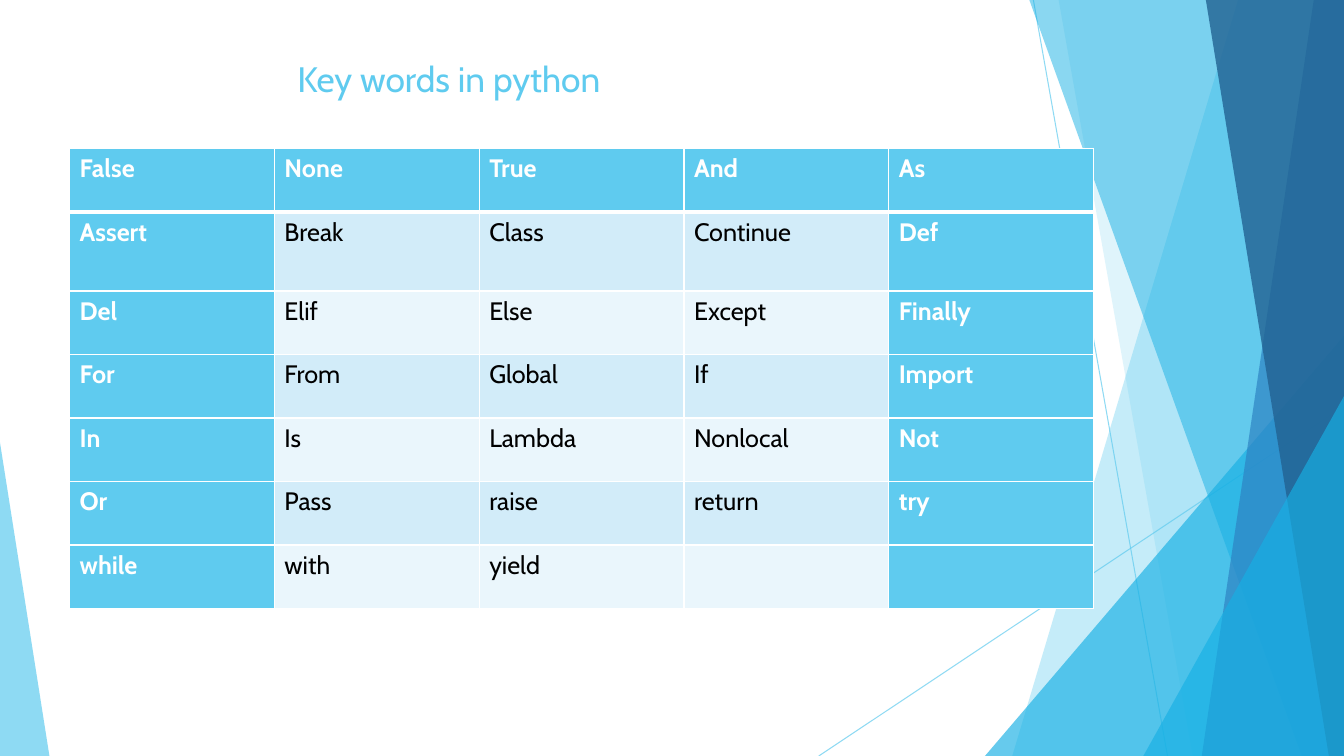
from lxml.etree import SubElement
from pptx import Presentation
from pptx.dml.color import RGBColor
from pptx.enum.shapes import MSO_CONNECTOR as Connector, MSO_SHAPE as Shape
from pptx.oxml import parse_xml
from pptx.oxml.ns import nsdecls, qn
from pptx.util import Inches, Pt

COLORS = {
    "sky": "5FCBEF", "cyan": "17B0E4", "blue": "2E83C3", "navy": "226292",
    "band": "D2ECF9", "pale": "EAF6FC", "white": "FFFFFF", "black": "000000",
}
FONT = "Cabin"
WIDTH, HEIGHT = Inches(13.33), Inches(7.5)

# Decoration, in percent of the slide's width and height
LINES = [((76.89, 0), (86.87, 100)), ((100, 53.73), (60.92, 100))]
# Facets reach the right edge: top x, bottom x, color, opacity
# Triangles: left, top, width, height, apex position, color, opacity
RIGHT_DECORATION = [
    ("facet", (92.12, 75.32), "sky", 36),
    ("facet", (78.77, 88.75), "sky", 20),
    ("triangle", (73.29, 44.4, 26.71, 55.6, 1), "cyan", 66),
    ("facet", (76.59, 96.85), "cyan", 50),
    ("facet", (97.75, 89.42), "blue", 70),
    ("facet", (89.72, 98.87), "navy", 80),
    ("triangle", (85.07, 52.4, 14.93, 47.6, 1), "cyan", 66),
]
LEFT_DECORATION = [("triangle", (0, 58.53, 3.68, 41.47, 0), "sky", 70)]

KEYWORDS = [
    ["False", "None", "True", "And", "As"],
    ["Assert", "Break", "Class", "Continue", "Def"],
    ["Del", "Elif", "Else", "Except", "Finally"],
    ["For", "From", "Global", "If", "Import"],
    ["In", "Is", "Lambda", "Nonlocal", "Not"],
    ["Or", "Pass", "raise", "return", "try"],
    ["while", "with", "yield", "", ""],
]
ROW_SHARES = [1, 1.25, 1, 1, 1, 1, 1]


def color(name):
    return RGBColor.from_string(COLORS[name])


def place(box, x, y):
    """Turn percentages of a box into a point."""
    left, top, width, height = box
    return round(left + width * x / 100), round(top + height * y / 100)


def part(box, x, y, width, height):
    """Cut a smaller box out of a box, by percentages."""
    return (*place(box, x, y), *place((0, 0, *box[2:]), width, height))


def set_opacity(shape, percent):
    for element in shape._element.spPr.iter(qn("a:srgbClr")):
        SubElement(element, qn("a:alpha")).set("val", str(percent * 1000))


def add_lines(slide, box):
    for start, end in LINES:
        line = slide.shapes.add_connector(
            Connector.STRAIGHT, *place(box, *start), *place(box, *end))
        line.line.color.rgb = color("sky")
        line.line.width = Pt(0.75)
        set_opacity(line, 70)
        SubElement(line._element.spPr, qn("a:effectLst"))


def add_facet(slide, box, top_x, bottom_x):
    outline = slide.shapes.build_freeform(*place(box, top_x, 0), scale=1.0)
    corners = [(100, 0), (100, 100), (bottom_x, 100)]
    outline.add_line_segments([place(box, *corner) for corner in corners])
    return outline.convert_to_shape()


def add_triangle(slide, box, x, y, width, height, apex):
    shape = slide.shapes.add_shape(
        Shape.ISOSCELES_TRIANGLE, *part(box, x, y, width, height))
    shape.adjustments[0] = apex
    return shape


def add_decoration(slide, box, pieces):
    builders = {"facet": add_facet, "triangle": add_triangle}
    for kind, geometry, fill, opacity in pieces:
        shape = builders[kind](slide, box, *geometry)
        shape.shadow.inherit = False
        shape.line.fill.background()
        shape.fill.solid()
        shape.fill.fore_color.rgb = color(fill)
        set_opacity(shape, opacity)


def style_text(paragraph, size, name, bold=False):
    font = paragraph.font
    font.name, font.size, font.bold = FONT, Pt(size), bold
    font.color.rgb = color(name)


def add_title(slide, box):
    frame = slide.shapes.add_textbox(*box).text_frame
    frame.word_wrap = True
    frame.margin_left = Inches(1.81)
    paragraph = frame.paragraphs[0]
    paragraph.text = "Key words in python"
    style_text(paragraph, 25.2, "sky")


def set_borders(cell, widths):
    properties = cell._tc.get_or_add_tcPr()
    for index, (side, width) in enumerate(widths.items()):
        properties.insert(index, parse_xml(
            f'<a:ln{side} {nsdecls("a")} w="{Pt(width)}"><a:solidFill>'
            f'<a:srgbClr val="{COLORS["white"]}"/></a:solidFill></a:ln{side}>'))


def add_keyword_table(slide, box):
    rows, columns = len(KEYWORDS), len(KEYWORDS[0])
    table = slide.shapes.add_table(rows, columns, *box).table
    for column in table.columns:
        column.width = box[2] // columns
    for row, share in zip(table.rows, ROW_SHARES):
        row.height = round(box[3] * share / sum(ROW_SHARES))

    for r, words in enumerate(KEYWORDS):
        for c, word in enumerate(words):
            cell = table.cell(r, c)
            # The header row and both outer columns are emphasized
            strong = r == 0 or c in (0, columns - 1)
            fill = "sky" if strong else "band" if r % 2 else "pale"
            cell.fill.solid()
            cell.fill.fore_color.rgb = color(fill)
            # A thick rule separates the header from the body
            set_borders(cell, {"L": 1, "R": 1, "T": 3 if r == 1 else 1,
                               "B": 3 if r == 0 else 1})
            paragraph = cell.text_frame.paragraphs[0]
            paragraph.text = word
            style_text(paragraph, 18, "white" if strong else "black", strong)


def main():
    presentation = Presentation()
    presentation.slide_width, presentation.slide_height = WIDTH, HEIGHT
    slide = presentation.slides.add_slide(presentation.slide_layouts[6])
    page = (0, 0, WIDTH, HEIGHT)

    # Background
    add_lines(slide, page)
    add_decoration(slide, page, RIGHT_DECORATION)
    add_decoration(slide, page, LEFT_DECORATION)
    # Content
    add_title(slide, part(page, 8.55, 6.93, 64.07, 9.33))
    add_keyword_table(slide, part(page, 5.18, 19.6, 76.2, 60.93))

    presentation.save("out.pptx")


if __name__ == "__main__":
    main()
